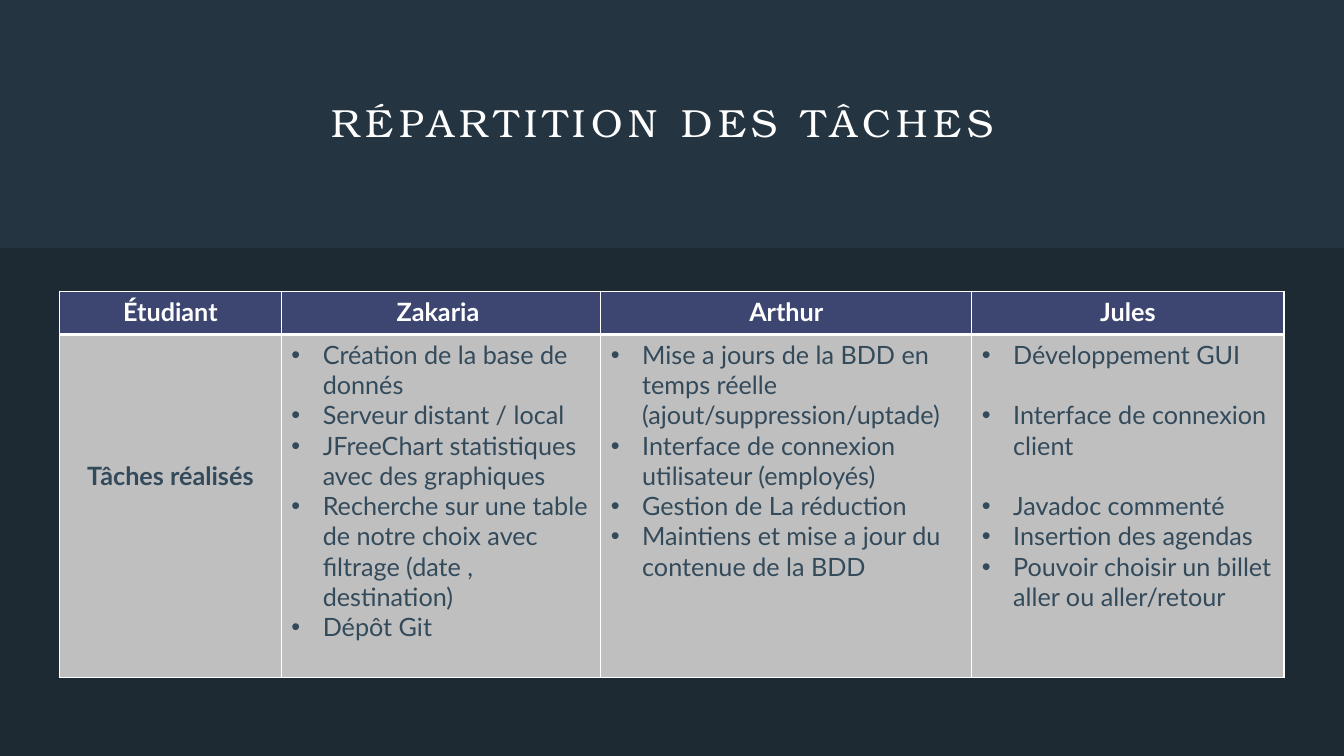
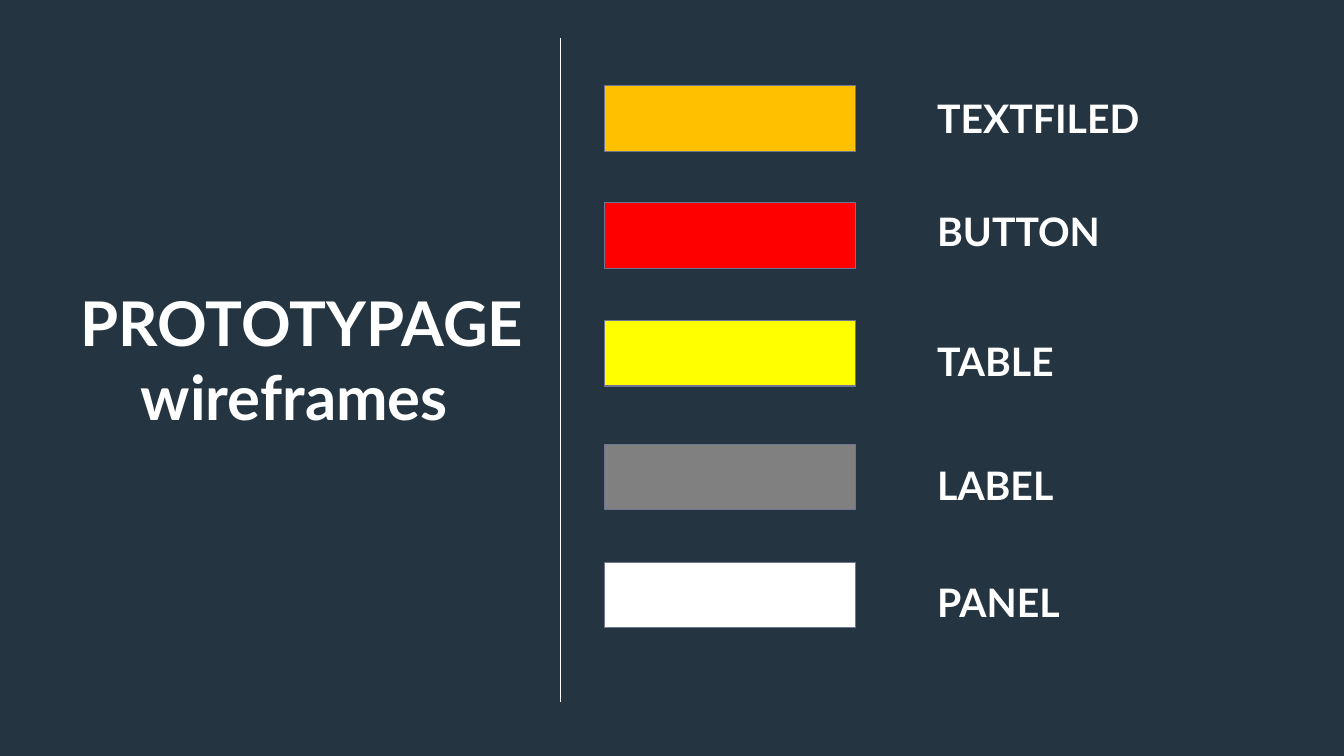
from lxml import etree
from pptx import Presentation
from pptx.dml.color import RGBColor
from pptx.enum.shapes import MSO_CONNECTOR, MSO_SHAPE
from pptx.enum.text import MSO_ANCHOR, PP_ALIGN
from pptx.oxml.ns import qn
from pptx.util import Cm, Pt

RECTANGLE = MSO_SHAPE.RECTANGLE
STRAIGHT = MSO_CONNECTOR.STRAIGHT
LEFT, CENTER = PP_ALIGN.LEFT, PP_ALIGN.CENTER
TOP, MIDDLE = MSO_ANCHOR.TOP, MSO_ANCHOR.MIDDLE

COLORS = {
    "background": "243541", "band": "1D2A33", "white": "FFFFFF",
    "header": "3D4671", "cell": "BFBFBF", "body": "334A5B",
    "outline": "6F7592", "orange": "FFC000", "red": "FF0000",
    "yellow": "FFFF00", "grey": "808080",
}
FONTS = {
    "title": {"name": "TeX Gyre Bonum", "size": Pt(28), "bold": False},
    "heading": {"name": "Lato", "size": Pt(44), "bold": True},
    "label": {"name": "Lato", "size": Pt(28), "bold": True},
    "strong": {"name": "Lato", "size": Pt(18), "bold": True},
    "plain": {"name": "Lato", "size": Pt(18), "bold": False},
}
TABLE_LINE = Pt(21.6)
BULLET_INDENT = Cm(0.79)


def rgb(color):
    return RGBColor.from_string(COLORS[color])


class Deck:
    """Holds the shared style and the current slide."""

    def __init__(self):
        self.prs = Presentation()
        self.prs.slide_width, self.prs.slide_height = Cm(33.87), Cm(19.05)
        self.slide = None

    def new_slide(self):
        self.slide = self.prs.slides.add_slide(self.prs.slide_layouts[6])
        background = self.slide.background.fill
        background.solid()
        background.fore_color.rgb = rgb("background")

    def styled_run(self, paragraph, text, style, color="white", align=LEFT, spacing=0):
        paragraph.alignment = align
        run = paragraph.add_run()
        run.text = text
        for attribute, value in FONTS[style].items():
            setattr(run.font, attribute, value)
        run.font.color.rgb = rgb(color)
        if spacing:
            run._r.get_or_add_rPr().set("spc", str(spacing * 100))

    def text(self, box, lines, style, align=LEFT, anchor=TOP, spacing=0):
        frame = self.slide.shapes.add_textbox(*map(Cm, box)).text_frame
        frame.word_wrap = True
        frame.vertical_anchor = anchor
        for i, line in enumerate(lines):
            paragraph = frame.add_paragraph() if i else frame.paragraphs[0]
            self.styled_run(paragraph, line, style, align=align, spacing=spacing)

    def title(self, text):
        self.text((3, 1.5, 27.86, 3.12), [text], "title", CENTER, MIDDLE, spacing=4)

    def rectangle(self, box, color, outline=None):
        shape = self.slide.shapes.add_shape(RECTANGLE, *map(Cm, box))
        shape.shadow.inherit = False
        shape.fill.solid()
        shape.fill.fore_color.rgb = rgb(color)
        if outline:
            shape.line.color.rgb = rgb(outline)
            shape.line.width = Pt(0.85)
        else:
            shape.line.fill.background()

    def line(self, *ends):
        connector = self.slide.shapes.add_connector(STRAIGHT, *map(Cm, ends))
        connector.line.color.rgb = rgb("white")
        connector.line.width = Pt(0.75)
        etree.SubElement(connector._element.spPr, qn("a:effectLst"))

    def table(self, left, top, widths, heights):
        table = self.slide.shapes.add_table(
            len(heights), len(widths), Cm(left), Cm(top),
            Cm(sum(widths)), Cm(sum(heights))).table
        table.horz_banding = False
        for column, width in zip(table.columns, widths):
            column.width = Cm(width)
        for row, height in zip(table.rows, heights):
            row.height = Cm(height)
        return table

    def style_cell(self, cell, color, top=1, bottom=1):
        properties = cell._tc.get_or_add_tcPr()
        for side, width in {"L": 1, "R": 1, "T": top, "B": bottom}.items():
            border = etree.SubElement(properties, qn(f"a:ln{side}"), w=str(Pt(width)))
            fill = etree.SubElement(border, qn("a:solidFill"))
            etree.SubElement(fill, qn("a:srgbClr"), val=COLORS["white"])
        cell.fill.solid()
        cell.fill.fore_color.rgb = rgb(color)

    def bullets(self, cell, items, spaced):
        frame = cell.text_frame
        for i, item in enumerate(items):
            paragraph = frame.add_paragraph() if i else frame.paragraphs[0]
            if i in spaced:
                paragraph.space_before = TABLE_LINE
            properties = paragraph._p.get_or_add_pPr()
            properties.set("marL", str(BULLET_INDENT))
            properties.set("indent", str(-BULLET_INDENT))
            etree.SubElement(properties, qn("a:buFont"), typeface="Arial")
            etree.SubElement(properties, qn("a:buChar"), char="•")
            self.styled_run(paragraph, item, "plain", "body")


# Student, tasks, and the positions of tasks set one line apart
STUDENTS = [
    ("Zakaria ", [
        "Création de la base de donnés",
        "Serveur distant / local",
        "JFreeChart statistiques avec des graphiques",
        "Recherche sur une table de notre choix avec filtrage (date , destination)",
        "Dépôt Git",
    ], ()),
    ("Arthur", [
        "Mise a jours de la BDD en temps réelle (ajout/suppression/uptade)",
        "Interface de connexion utilisateur (employés)",
        "Gestion de La réduction",
        "Maintiens et mise a jour du contenue de la BDD",
    ], ()),
    ("Jules", [
        "Développement GUI",
        "Interface de connexion client",
        "Javadoc commenté",
        "Insertion des agendas",
        "Pouvoir choisir un billet aller ou aller/retour",
    ], (1, 2)),
]

# Component, swatch colour, swatch top, label top
COMPONENTS = [
    ("TEXTFILED", "orange", 2.16, 2.26),
    ("BUTTON", "red", 5.11, 5.11),
    ("TABLE", "yellow", 8.08, 8.38),
    ("LABEL", "grey", 11.2, 11.51),
    ("PANEL", "white", 14.17, 14.45),
]


def tasks_slide(deck):
    deck.new_slide()
    deck.rectangle((0, 6.25, 33.87, 12.8), "band")
    deck.title("RÉPARTITION DES TÂCHES ")
    tasks = deck.table(1.5, 7.34, (5.59, 8.05, 9.35, 7.87), (1.09, 8.64))

    # Header row
    names = ["Étudiant"] + [name for name, _, _ in STUDENTS]
    for column, name in enumerate(names):
        header = tasks.cell(0, column)
        deck.style_cell(header, "header", bottom=3)
        deck.styled_run(header.text_frame.paragraphs[0], name, "strong", align=CENTER)

    # Task row
    row_label = tasks.cell(1, 0)
    deck.style_cell(row_label, "cell", top=3)
    row_label.margin_top = Cm(0.13) + 4 * TABLE_LINE
    deck.styled_run(row_label.text_frame.paragraphs[0], "Tâches réalisés",
                    "strong", "body", CENTER)
    for column, (_, items, spaced) in enumerate(STUDENTS, 1):
        cell = tasks.cell(1, column)
        deck.style_cell(cell, "cell", top=3)
        deck.bullets(cell, items, spaced)


def prototype_slide(deck):
    deck.new_slide()
    # Colour legend
    for component, color, swatch_top, label_top in COMPONENTS:
        deck.rectangle((15.24, swatch_top, 6.32, 1.65), color, "outline")
        deck.text((23.37, label_top, 6.53, 1.45), [component], "label")
    # Heading and divider
    deck.text((0.79, 7.06, 13.64, 5.05), ["PROTOTYPAGE", "wireframes "],
              "heading", CENTER)
    deck.line(14.12, 0.97, 14.12, 17.68)


def main():
    deck = Deck()
    tasks_slide(deck)
    prototype_slide(deck)
    deck.prs.save("out.pptx")


if __name__ == "__main__":
    main()
